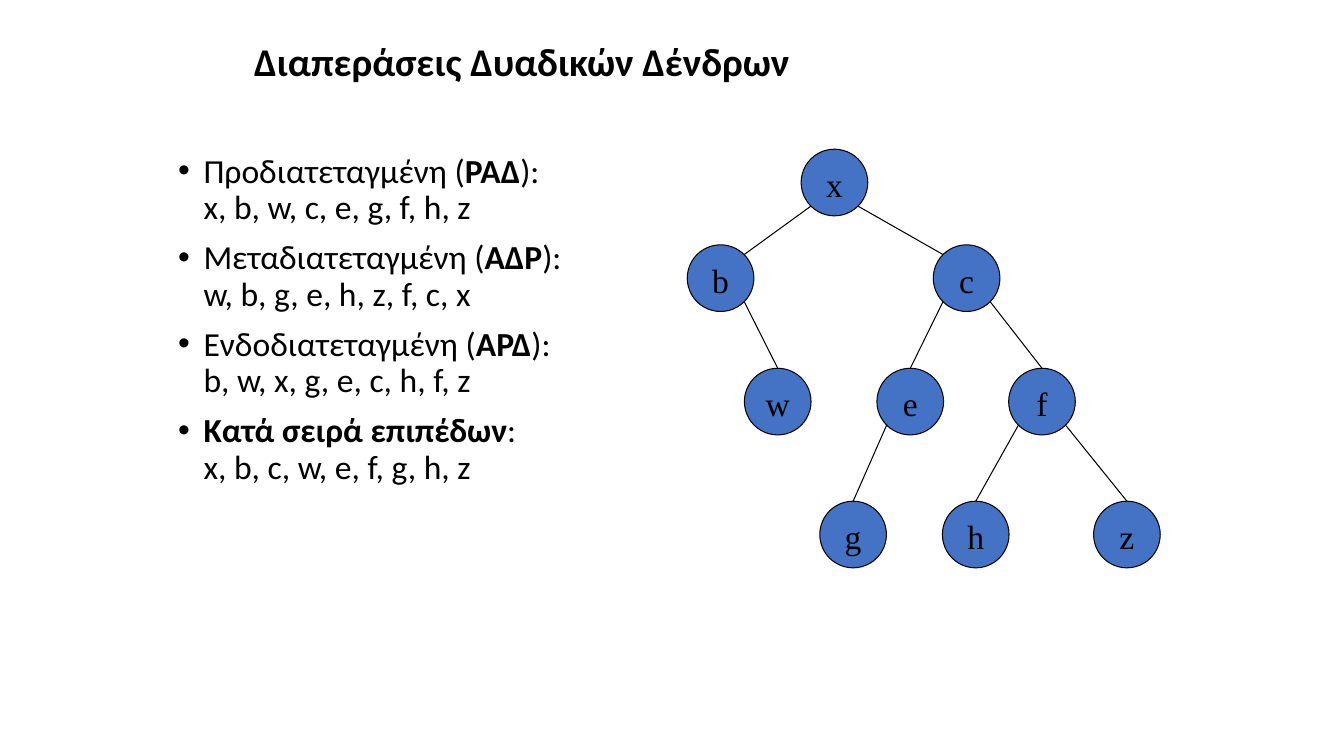
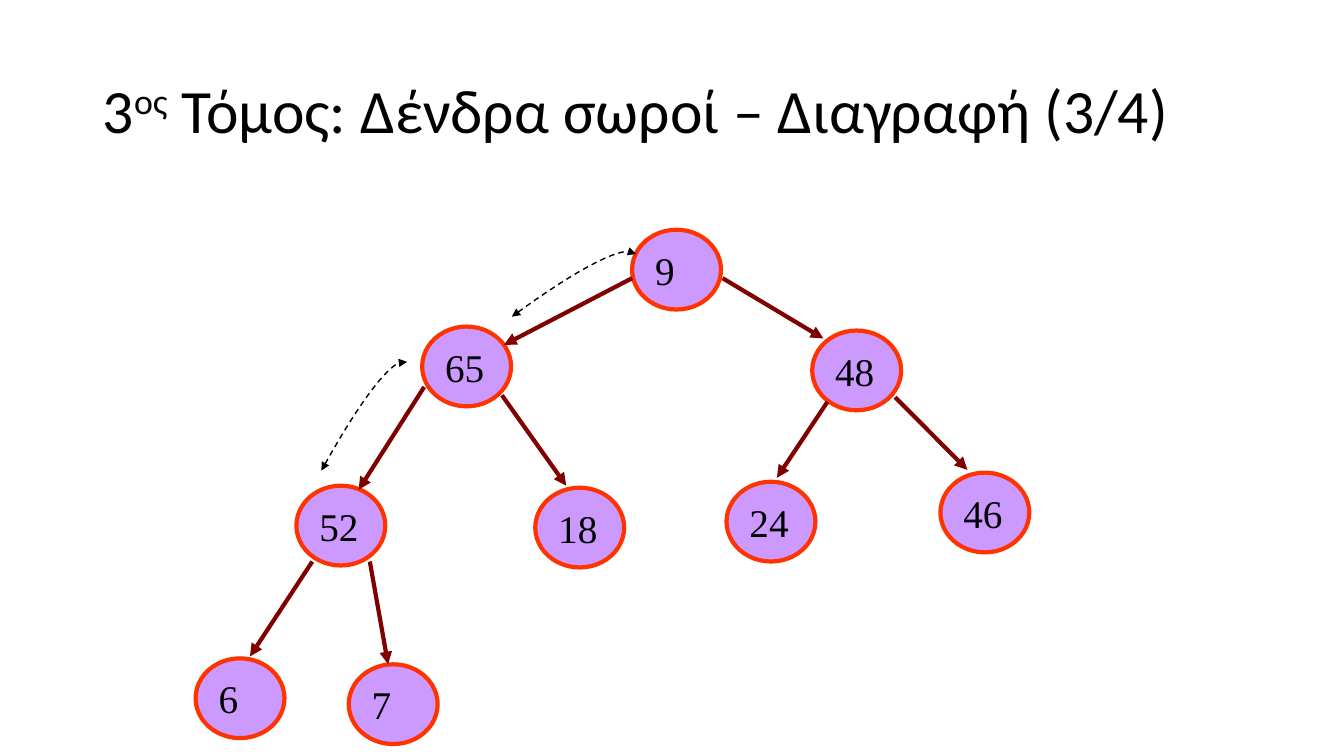
from lxml.etree import SubElement
from pptx import Presentation
from pptx.dml.color import RGBColor
from pptx.enum.dml import MSO_LINE
from pptx.enum.shapes import MSO_CONNECTOR, MSO_SHAPE
from pptx.enum.text import MSO_ANCHOR, PP_ALIGN
from pptx.oxml.ns import qn
from pptx.util import Cm, Pt

COLORS = {
    "text": "000000",
    "thin_line": "000000",
    "traversal_node": "4472C4",
    "heap_node": "CC99FF",
    "heap_outline": "FF3300",
    "heap_arrow": "800000",
}
COLORS = {part: RGBColor.from_string(value) for part, value in COLORS.items()}
TEXT_FONT, NODE_FONT = "Calibri", "Times New Roman"

prs = Presentation()
prs.slide_width, prs.slide_height = Cm(33.87), Cm(19.05)


def add_titled_slide(box, runs, size, bold=False):
    """Add a slide whose title consists of (text, superscript) runs."""
    slide = prs.slides.add_slide(prs.slide_layouts[5])
    title = slide.shapes.title
    title.left, title.top, title.width, title.height = map(Cm, box)
    title.text_frame.vertical_anchor = MSO_ANCHOR.MIDDLE
    paragraph = title.text_frame.paragraphs[0]
    paragraph.alignment = PP_ALIGN.LEFT
    paragraph.line_spacing = 0.9
    for text, superscript in runs:
        run = paragraph.add_run()
        run.text = text
        run.font.name, run.font.size, run.font.bold = TEXT_FONT, Pt(size), bold
        run.font.color.rgb = COLORS["text"]
        if superscript:
            run._r.get_or_add_rPr().set("baseline", "30000")
    return slide


def add_tree(slide, nodes, edges, look):
    """Draw nodes {label: (left, top)} and edges (x1, y1, x2, y2), in cm."""
    for label, (left, top) in nodes.items():
        node = slide.shapes.add_shape(
            MSO_SHAPE.OVAL, Cm(left), Cm(top), *map(Cm, look["node_size"]))
        node.shadow.inherit = False
        node.fill.solid()
        node.fill.fore_color.rgb = COLORS[look["fill"]]
        node.line.color.rgb = COLORS[look["outline"]]
        node.line.width = Pt(look["line_width"])
        node.text_frame.word_wrap = look["wrap"]
        node.text_frame.vertical_anchor = look["anchor"]
        paragraph = node.text_frame.paragraphs[0]
        paragraph.alignment = look["align"]
        run = paragraph.add_run()
        run.text = label
        run.font.name, run.font.size = NODE_FONT, Pt(look["font_size"])
        run.font.color.rgb = COLORS["text"]
    for ends in edges:
        edge = slide.shapes.add_connector(MSO_CONNECTOR.STRAIGHT, *map(Cm, ends))
        edge.line.color.rgb = COLORS[look["edge"]]
        edge.line.width = Pt(look["line_width"])
        properties = edge.element.spPr
        if look["arrows"]:
            SubElement(properties.find(qn("a:ln")), qn("a:tailEnd"), type="triangle")
        SubElement(properties, qn("a:effectLst"))


# Slide 1: binary tree traversals
traversal_slide = add_titled_slide(
    (6.15, 0.91, 21.59, 1.4), [("Διαπεράσεις Δυαδικών Δένδρων", False)], 28, bold=True)

# Each traversal: runs of its name as (text, bold), then the visiting order
traversals = [
    ([("Προδιατεταγμένη (", False), ("ΡΑΔ", True), ("):", False)],
     "x, b, w, c, e, g, f, h, z"),
    ([("Μεταδιατεταγμένη (", False), ("ΑΔΡ", True), ("):", False)],
     "w, b, g, e, h, z, f, c, x"),
    ([("Ενδοδιατεταγμένη (", False), ("ΑΡΔ", True), ("):", False)],
     "b, w, x, g, e, c, h, f, z"),
    ([("Κατά σειρά επιπέδων", True), (":", False)],
     "x, b, c, w, e, f, g, h, z"),
]
traversal_list = traversal_slide.shapes.add_textbox(
    Cm(4.24), Cm(3.76), Cm(13.49), Cm(11.43)).text_frame
traversal_list.word_wrap = True
for index, (name_runs, order) in enumerate(traversals):
    item = traversal_list.add_paragraph() if index else traversal_list.paragraphs[0]
    item.line_spacing = 0.9
    item.space_before = Pt(10)
    item_properties = item._p.get_or_add_pPr()
    item_properties.set("marL", str(Cm(0.64)))
    item_properties.set("indent", str(-Cm(0.64)))
    SubElement(item_properties, qn("a:buFont"), typeface="Arial")
    SubElement(item_properties, qn("a:buChar"), char="•")
    for text, bold in name_runs + [(order, False)]:
        if text == order:
            item.add_line_break()
        run = item.add_run()
        run.text = text
        run.font.name, run.font.size, run.font.bold = TEXT_FONT, Pt(24), bold
        run.font.color.rgb = COLORS["text"]

RADIUS = 0.84
DIAGONAL = RADIUS * 0.71
level_y = [4.6, 7.01, 10.12, 13.47]
# label: (centre x, level, parent)
traversal_tree = {
    "x": (21.03, 0, None),
    "b": (18.16, 1, "x"), "c": (24.36, 1, "x"),
    "w": (19.6, 2, "b"), "e": (22.94, 2, "c"), "f": (26.26, 2, "c"),
    "g": (21.5, 3, "e"), "h": (24.59, 3, "f"), "z": (28.4, 3, "f"),
}
traversal_nodes, traversal_edges = {}, []
for label, (x, level, parent) in traversal_tree.items():
    y = level_y[level]
    traversal_nodes[label] = (x - RADIUS, y - RADIUS)
    if parent:
        parent_x, parent_level, _ = traversal_tree[parent]
        side = DIAGONAL if x > parent_x else -DIAGONAL
        # Edges from the root meet the child diagonally, the others at its top
        end = (x - side, y - DIAGONAL) if level == 1 else (x, y - RADIUS)
        traversal_edges.append(
            (parent_x + side, level_y[parent_level] + DIAGONAL, *end))

add_tree(traversal_slide, traversal_nodes, traversal_edges, {
    "node_size": (2 * RADIUS, 2 * RADIUS), "fill": "traversal_node",
    "outline": "thin_line", "edge": "thin_line", "line_width": 0.75,
    "arrows": False, "font_size": 24, "wrap": True,
    "anchor": MSO_ANCHOR.TOP, "align": PP_ALIGN.CENTER,
})

# Slide 2: deletion from a heap
heap_slide = add_titled_slide(
    (2.34, 1.02, 29.21, 3.68),
    [("3", False), ("ος", True), (" Τόμος: Δένδρα σωροί – Διαγραφή (3/4)", False)], 44)

heap_nodes = {
    "9": (15.93, 5.79),
    "65": (10.64, 8.23), "48": (20.47, 8.33),
    "52": (7.47, 12.24), "18": (13.49, 12.29),
    "24": (18.31, 12.14), "46": (23.7, 11.91),
    "6": (4.93, 16.59), "7": (8.79, 16.74),
}
heap_edges = [
    (15.93, 7.01, 12.7, 8.69), (18.21, 7.01, 20.75, 8.53),
    (10.69, 9.75, 9.04, 12.34), (12.65, 9.96, 14.27, 12.24),
    (20.85, 10.13, 19.58, 12.04), (22.56, 10.01, 24.38, 11.84),
    (7.87, 14.15, 6.3, 16.54), (9.32, 14.15, 9.78, 16.74),
]
add_tree(heap_slide, heap_nodes, heap_edges, {
    "node_size": (2.24, 2.01), "fill": "heap_node",
    "outline": "heap_outline", "edge": "heap_arrow", "line_width": 3,
    "arrows": True, "font_size": 28, "wrap": False,
    "anchor": MSO_ANCHOR.MIDDLE, "align": PP_ALIGN.LEFT,
})

# Swap arrows: cubic curves given by their four control points
swap_curves = [
    [(12.9, 7.98), (14.6, 6.73), (15.8, 6.12), (16.03, 6.4)],
    [(8.1, 11.86), (9.12, 10.01), (9.93, 8.97), (10.26, 9.12)],
]
STEPS = 16
for controls in swap_curves:
    points = []
    for step in range(STEPS + 1):
        t = step / STEPS
        weights = ((1 - t) ** 3, 3 * t * (1 - t) ** 2, 3 * t ** 2 * (1 - t), t ** 3)
        points.append(tuple(
            Cm(sum(weight * value for weight, value in zip(weights, axis)))
            for axis in zip(*controls)))
    outline = heap_slide.shapes.build_freeform(*points[0])
    outline.add_line_segments(points[1:], close=False)
    swap = outline.convert_to_shape()
    swap.shadow.inherit = False
    swap.fill.background()
    swap.line.color.rgb = COLORS["thin_line"]
    swap.line.width = Pt(1)
    swap.line.dash_style = MSO_LINE.DASH
    for arrowhead in ("a:headEnd", "a:tailEnd"):
        SubElement(swap.element.spPr.find(qn("a:ln")), qn(arrowhead), type="triangle")

prs.save("out.pptx")
